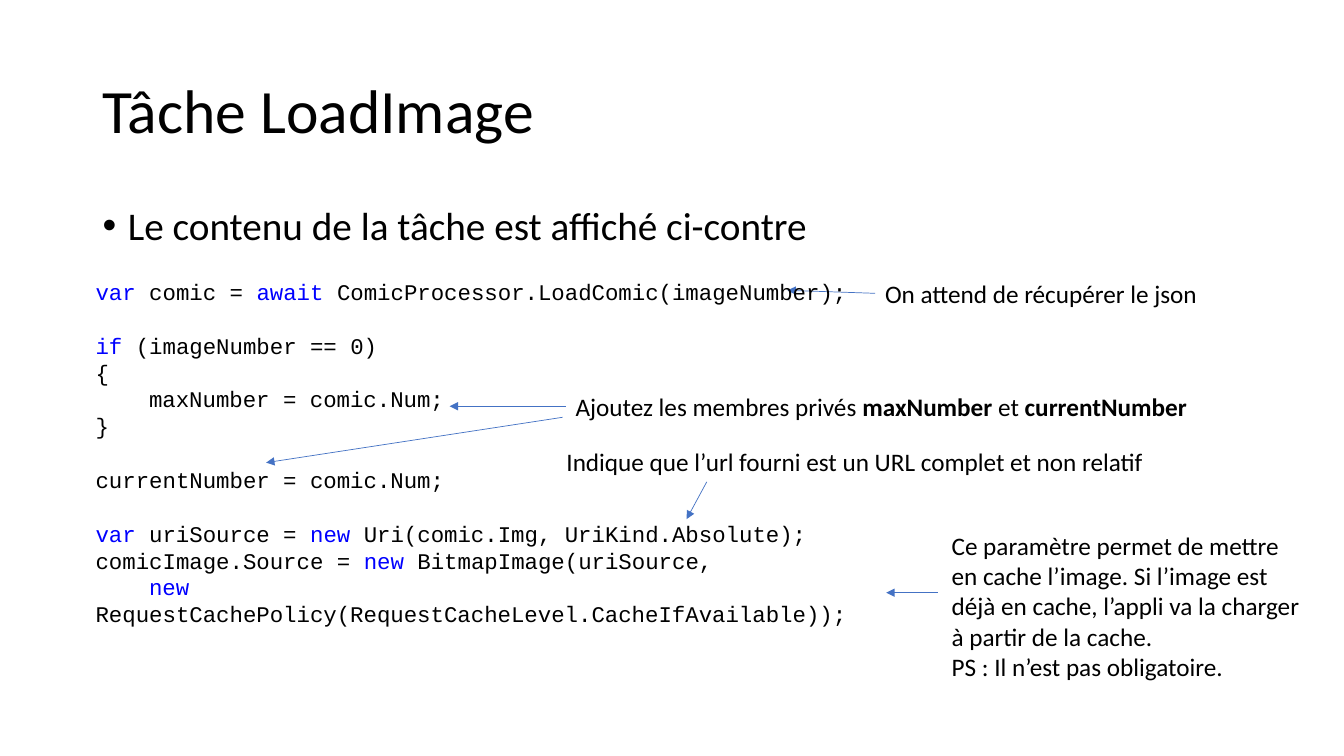
"""Build the slide that explains the LoadImage task."""
import pptx
import pptx.dml.color
import pptx.enum.shapes
import pptx.enum.text
import pptx.oxml.ns
import pptx.util
from lxml import etree

Inches, Pt = pptx.util.Inches, pptx.util.Pt
RGBColor = pptx.dml.color.RGBColor
BLACK = RGBColor(0, 0, 0)
BLUE = RGBColor(0, 0, 255)
ARROW = RGBColor(0x44, 0x72, 0xC4)
qn = pptx.oxml.ns.qn

prs = pptx.Presentation()
prs.slide_width, prs.slide_height = Inches(13.33), Inches(7.5)
s = prs.slides.add_slide(prs.slide_layouts[6])


def add_box(left, top, width, height, wrap=True):
    tf = s.shapes.add_textbox(Inches(left), Inches(top), Inches(width), Inches(height)).text_frame
    tf.word_wrap = wrap
    return tf


def add_run(p, text, size, font="Calibri", color=BLACK, bold=False):
    r = p.add_run()
    r.text = text
    r.font.size = Pt(size)
    r.font.name = font
    r.font.color.rgb = color
    r.font.bold = bold


tf = add_box(0.92, 0.4, 11.5, 1.45)
tf.vertical_anchor = pptx.enum.text.MSO_ANCHOR.MIDDLE
p = tf.paragraphs[0]
p.line_spacing = 0.9
add_run(p, "Tâche LoadImage", 44)

p = add_box(0.92, 2, 11.5, 4.76).paragraphs[0]
p.line_spacing = 0.9
p.space_before = Pt(10)
pPr = p._p.get_or_add_pPr()
pPr.set("marL", str(Inches(0.25)))
pPr.set("indent", str(Inches(-0.25)))
etree.SubElement(pPr, qn("a:buFont")).set("typeface", "Arial")
etree.SubElement(pPr, qn("a:buChar")).set("char", "•")
add_run(p, "Le contenu de la tâche est affiché ci-contre", 28)

# Each note holds paragraphs, each paragraph lines, each line (text, bold) runs.
notes = [
    (8.68, 2.71, 3.34, 0.4, [[[("On attend de récupérer le json", False)]]]),
    (5.61, 3.83, 6.28, 0.4, [[[("Ajoutez les membres privés ", False), ("maxNumber", True),
                               (" et ", False), ("currentNumber", True)]]]),
    (5.52, 4.38, 5.94, 0.4,
     [[[("Indique que l’url fourni est un URL complet et non relatif", False)]]]),
    (9.34, 5.21, 3.7, 1.62,
     [[[("Ce paramètre permet de mettre ", False)],
       [("en cache l’image. Si l’image est", False)],
       [("déjà en cache, l’appli va la charger", False)],
       [("à partir de la cache.", False)]],
      [[("PS : Il n’est pas obligatoire.", False)]]]),
]
for left, top, width, height, paragraphs in notes:
    tf = add_box(left, top, width, height, wrap=False)
    for i, lines in enumerate(paragraphs):
        p = tf.add_paragraph() if i else tf.paragraphs[0]
        for j, runs in enumerate(lines):
            if j:
                p.add_line_break()
            for text, bold in runs:
                add_run(p, text, 18, bold=bold)

arrows = [
    (8.68, 2.91, 7.81, 2.88),
    (5.61, 4.03, 4.46, 4.03),
    (5.58, 4.14, 2.64, 4.59),
    (7.01, 4.78, 6.81, 5.15),
    (9.3, 5.88, 8.79, 5.88),
]
for ends in arrows:
    c = s.shapes.add_connector(pptx.enum.shapes.MSO_CONNECTOR.STRAIGHT, *map(Inches, ends))
    c.line.color.rgb = ARROW
    c.line.width = Pt(0.5)
    etree.SubElement(c.line._get_or_add_ln(), qn("a:tailEnd")).set("type", "triangle")
    etree.SubElement(c._element.spPr, qn("a:effectLst"))

LINE = Pt(19.2)
code = [
    (False, 0, [("var", BLUE), (" comic = ", BLACK), ("await ", BLUE),
                ("ComicProcessor.LoadComic(imageNumber);", BLACK)]),
    (True, 0, [("if", BLUE), (" (imageNumber == 0)", BLACK)]),
    (False, 0, [("{", BLACK)]),
    (False, 0.53, [("maxNumber = comic.Num;", BLACK)]),
    (False, 0, [("}", BLACK)]),
    (True, 0, [("currentNumber = comic.Num;", BLACK)]),
    (True, 0, [("var ", BLUE), ("uriSource = ", BLACK), ("new", BLUE),
               (" Uri(comic.Img, UriKind.Absolute);", BLACK)]),
    (False, 0, [("comicImage.Source = ", BLACK), ("new ", BLUE),
                ("BitmapImage(uriSource, ", BLACK)]),
    (False, 0.53, [("new ", BLUE),
                   ("RequestCachePolicy(RequestCacheLevel.CacheIfAvailable));", BLACK)]),
]
tf = add_box(0.85, 2.71, 8.54, 3.33)
for i, (gap, indent, runs) in enumerate(code):
    p = tf.add_paragraph() if i else tf.paragraphs[0]
    p.line_spacing = LINE
    p.space_before = LINE if gap else Pt(0)
    p._p.get_or_add_pPr().set("indent", str(Inches(indent)))
    for text, color in runs:
        add_run(p, text, 16, "Courier New", color)

prs.save("out.pptx")
